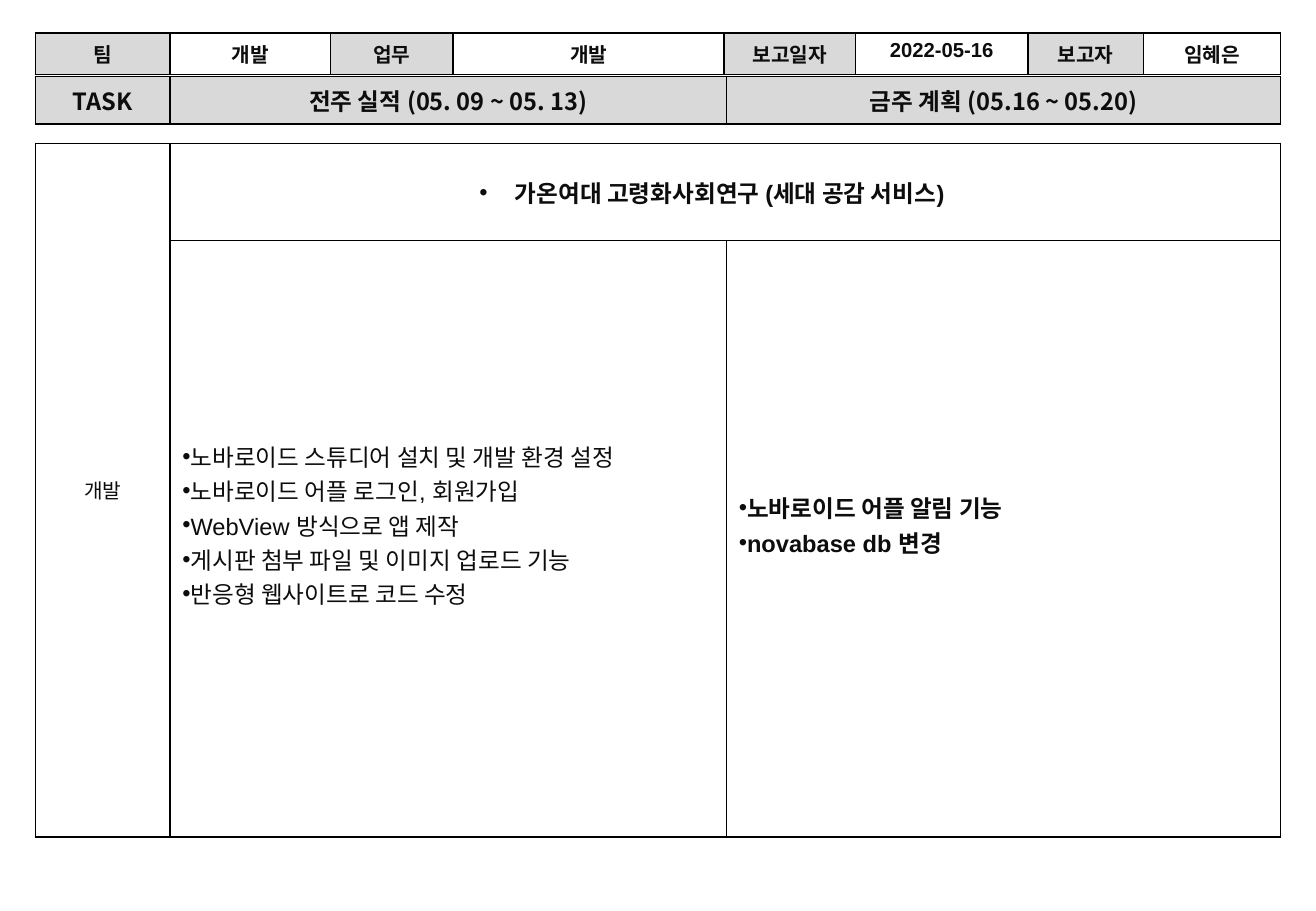
"""Build a one-slide weekly work report made of three aligned tables."""
from lxml.etree import SubElement
from pptx import Presentation
from pptx.dml.color import RGBColor
from pptx.enum.text import MSO_ANCHOR as Anchor, PP_ALIGN as Align
from pptx.oxml.ns import qn
from pptx.util import Inches, Pt

SLIDE_W, SLIDE_H = 10.83, 7.5
LEFT = 0.29
INK, LINE, GREY, WHITE = "0D0D0D", "000000", "D9D9D9", "FFFFFF"
LATIN, KOREAN = "Arial", "Noto Sans CJK KR"

INFO = [("팀", "개발"), ("업무", "개발"), ("보고일자", "2022-05-16"), ("보고자", "임혜은")]
HEADINGS = ["TASK", "전주 실적 (05. 09 ~ 05. 13)", "금주 계획 (05.16 ~ 05.20)"]
TEAM = "개발"
PROJECT = "가온여대 고령화사회연구 (세대 공감 서비스)"
DONE = [
    "노바로이드 스튜디어 설치 및 개발 환경 설정",
    "노바로이드 어플 로그인, 회원가입",
    "WebView 방식으로 앱 제작",
    "게시판 첨부 파일 및 이미지 업로드 기능",
    "반응형 웹사이트로 코드 수정",
]
PLANNED = ["노바로이드 어플 알림 기능", "novabase db 변경"]

INFO_COLS = [1.11, 1.32, 1.01, 2.23, 1.08, 1.42, 0.95, 1.13]
TASK_COLS = [1.11, 4.58, 4.56]
INFO_TOP, HEADING_TOP, WORK_TOP = 0.27, 0.63, 1.18
INFO_ROWS, HEADING_ROWS, WORK_ROWS = [0.34], [0.39], [0.8, 4.91]
LIST_BOTTOM = 0.28


def rgb(value):
    """Turn a hex string into a colour."""
    return RGBColor.from_string(value)


def add_grid(slide, top, cols, rows):
    """Add a plain white table with thin black borders."""
    frame = slide.shapes.add_table(
        len(rows), len(cols), Inches(LEFT), Inches(top), Inches(sum(cols)), Inches(sum(rows)))
    table = frame.table
    table.first_row = table.horz_banding = False
    for col, width in zip(table.columns, cols):
        col.width = Inches(width)
    for row, height in zip(table.rows, rows):
        row.height = Inches(height)
    for cell in table.iter_cells():
        tcPr = cell._tc.get_or_add_tcPr()
        for side in ("a:lnL", "a:lnR", "a:lnT", "a:lnB"):
            ln = SubElement(tcPr, qn(side), w=str(Pt(1)))
            SubElement(SubElement(ln, qn("a:solidFill")), qn("a:srgbClr"), val=LINE)
        cell.fill.solid()
        cell.fill.fore_color.rgb = rgb(WHITE)
    return table


def add_bullet(p, indent):
    """Give a paragraph a round bullet that hangs by the indent."""
    pPr = p._p.get_or_add_pPr()
    pPr.set("marL", "0")
    pPr.set("indent", str(Inches(indent)))
    SubElement(pPr, qn("a:buFont"), typeface=LATIN)
    SubElement(pPr, qn("a:buChar"), char="•")


def write(cell, lines, size=14, bold=True, fill=WHITE, font=LATIN,
          align=Align.CENTER, anchor=Anchor.MIDDLE, indent=None):
    """Fill a cell with formatted paragraphs."""
    cell.fill.solid()
    cell.fill.fore_color.rgb = rgb(fill)
    cell.vertical_anchor = anchor
    tf = cell.text_frame
    tf.text = "\n".join(lines)
    for p in tf.paragraphs:
        p.alignment = align
        if indent is not None:
            add_bullet(p, indent)
        for r in p.runs:
            r.font.size, r.font.bold, r.font.name = Pt(size), bold, font
            r.font.color.rgb = rgb(INK)
            SubElement(r.font._element, qn("a:ea"), typeface=KOREAN)


def main():
    """Lay out the tables and save the slide."""
    prs = Presentation()
    prs.slide_width, prs.slide_height = Inches(SLIDE_W), Inches(SLIDE_H)
    slide = prs.slides.add_slide(prs.slide_layouts[6])

    info = add_grid(slide, INFO_TOP, INFO_COLS, INFO_ROWS)
    for i, pair in enumerate(INFO):
        for j, (text, fill) in enumerate(zip(pair, (GREY, WHITE))):
            write(info.cell(0, 2 * i + j), [text], size=12, fill=fill, anchor=Anchor.TOP)

    work = add_grid(slide, WORK_TOP, TASK_COLS, WORK_ROWS)
    work.cell(0, 0).merge(work.cell(1, 0))
    work.cell(0, 1).merge(work.cell(0, 2))
    write(work.cell(0, 0), [TEAM], size=12, bold=False)
    write(work.cell(0, 1), [PROJECT], indent=-0.29)
    for col, (items, bold) in enumerate([(DONE, False), (PLANNED, True)], start=1):
        cell = work.cell(1, col)
        write(cell, items, bold=bold, align=Align.LEFT, indent=-0.29)
        cell.margin_bottom = Inches(LIST_BOTTOM)

    headings = add_grid(slide, HEADING_TOP, TASK_COLS, HEADING_ROWS)
    for col, text in enumerate(HEADINGS):
        write(headings.cell(0, col), [text], fill=GREY, font=KOREAN)

    prs.save("out.pptx")


if __name__ == "__main__":
    main()
